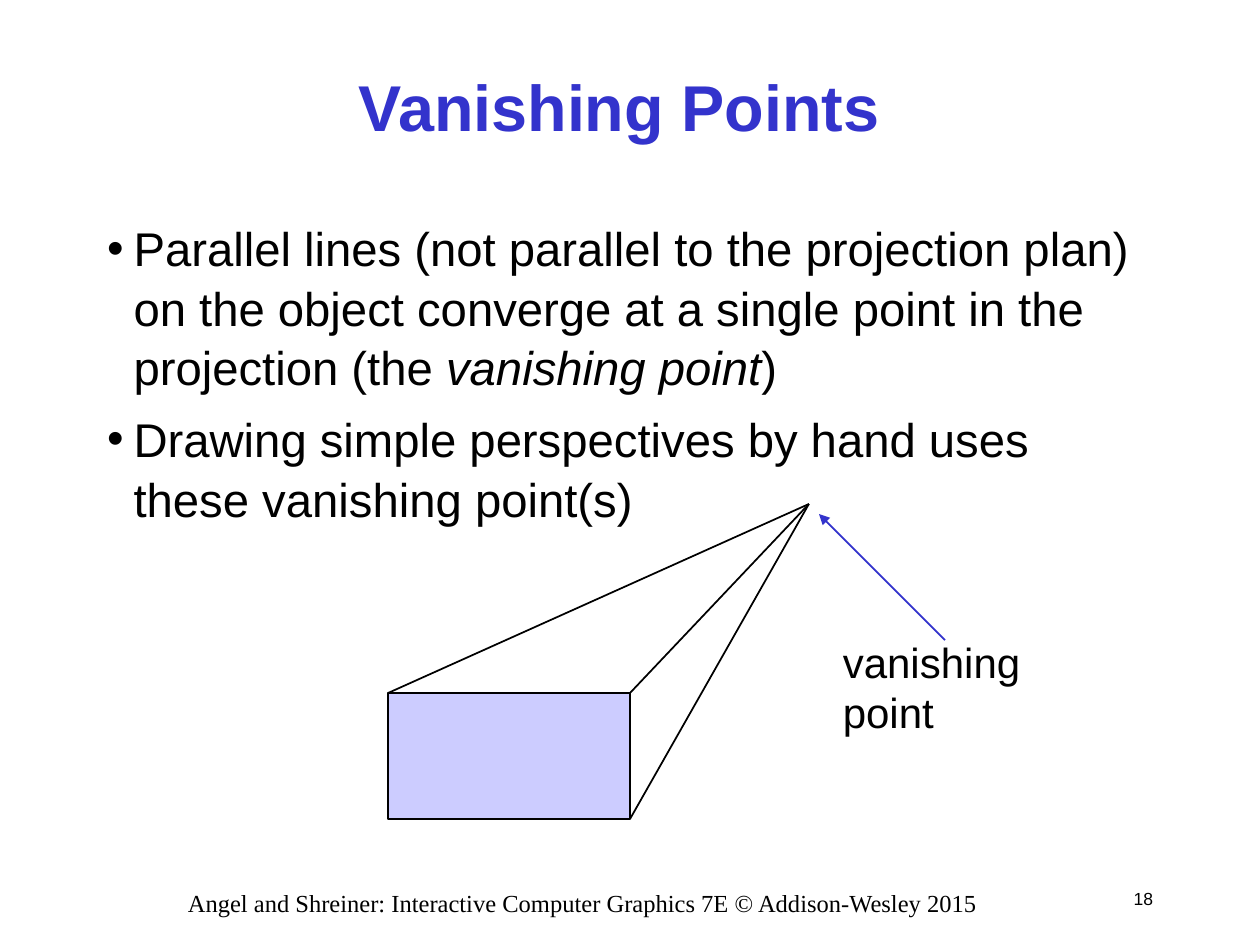
from pptx import Presentation
from pptx.dml.color import RGBColor
from pptx.enum.shapes import MSO_CONNECTOR, MSO_SHAPE
from pptx.enum.text import MSO_ANCHOR, MSO_AUTO_SIZE, PP_ALIGN
from pptx.oxml.ns import qn
from pptx.util import Inches, Pt
from lxml import etree

STRAIGHT = MSO_CONNECTOR.STRAIGHT
RECTANGLE = MSO_SHAPE.RECTANGLE
TOP, MIDDLE = MSO_ANCHOR.TOP, MSO_ANCHOR.MIDDLE
LEFT, CENTER, RIGHT = PP_ALIGN.LEFT, PP_ALIGN.CENTER, PP_ALIGN.RIGHT
NO_AUTOFIT = MSO_AUTO_SIZE.NONE

COLORS = {"text": "000000", "accent": "3333CC", "face": "CCCCFF"}


def write(paragraph, text, size, font="Arial", color="text", align=LEFT, bold=False, italic=False):
    paragraph.alignment = align
    run = paragraph.add_run()
    run.text = text
    run.font.size = Pt(size)
    run.font.name = font
    run.font.bold = bold
    run.font.italic = italic
    run.font.color.rgb = RGBColor.from_string(COLORS[color])


def draw_line(start, end, color="text"):
    line = slide.shapes.add_connector(STRAIGHT, *(Inches(value) for value in (*start, *end)))
    line.line.color.rgb = RGBColor.from_string(COLORS[color])
    line.line.width = Pt(1)
    etree.SubElement(line._element.spPr, qn("a:effectLst"))
    return line


presentation = Presentation()
presentation.slide_width = Inches(10)
presentation.slide_height = Inches(7.5)
slide = presentation.slides.add_slide(presentation.slide_layouts[1])

title, body = slide.placeholders
title.left, title.top, title.width, title.height = (Inches(v) for v in (1.5, 0.25, 6.83, 1.17))
title.text_frame.vertical_anchor = MIDDLE
title.text_frame.auto_size = NO_AUTOFIT
write(title.text_frame.paragraphs[0], "Vanishing Points", size=37, color="accent", align=CENTER, bold=True)

body.left, body.top, body.width, body.height = (Inches(v) for v in (0.75, 1.67, 8.5, 5.17))
body.text_frame.vertical_anchor = TOP
body.text_frame.auto_size = NO_AUTOFIT
bullets = [
    [
        ("Parallel lines (not parallel to the projection plan) on the object converge "
         "at a single point in the projection (the ", False),
        ("vanishing point", True),
        (")", False),
    ],
    [("Drawing simple perspectives by hand uses these vanishing point(s)", False)],
]
for index, runs in enumerate(bullets):
    paragraph = body.text_frame.add_paragraph() if index else body.text_frame.paragraphs[0]
    properties = paragraph._p.get_or_add_pPr()
    properties.set("marL", str(Inches(0.21)))
    properties.set("indent", str(-Inches(0.21)))
    etree.SubElement(properties, qn("a:buChar")).set("char", "•")
    paragraph.space_before = Pt(6.8 if index else 0)
    paragraph.line_spacing = 1.05
    for text, italic in runs:
        write(paragraph, text, size=27, italic=italic)

box_left, box_top, box_right, box_bottom = 3.08, 5.5, 5, 6.5
vanishing_point = (6.42, 4)
front_face = slide.shapes.add_shape(
    RECTANGLE, Inches(box_left), Inches(box_top),
    Inches(box_right - box_left), Inches(box_bottom - box_top))
front_face.shadow.inherit = False
front_face.fill.solid()
front_face.fill.fore_color.rgb = RGBColor.from_string(COLORS["face"])
front_face.line.color.rgb = RGBColor.from_string(COLORS["text"])
front_face.line.width = Pt(0.75)

for corner in [(box_right, box_bottom), (box_right, box_top), (box_left, box_top)]:
    draw_line(corner, vanishing_point)

pointer = draw_line((7.5, 5.08), (6.5, 4.08), color="accent")
etree.SubElement(pointer.line._get_or_add_ln(), qn("a:tailEnd")).set("type", "triangle")

text_boxes = [
    ("vanishing point", (6.59, 5, 2.42, 0.5), False, TOP, {"size": 24}),
    ("Angel and Shreiner: Interactive Computer Graphics 7E © Addison-Wesley 2015", (1, 7, 7.25, 0.25),
     True, TOP, {"size": 14, "font": "Times New Roman", "align": CENTER}),
    ("18", (8.83, 6.92, 0.42, 0.42), False, MIDDLE, {"size": 10, "align": RIGHT}),
]
for text, position, wrap, anchor, text_format in text_boxes:
    text_box = slide.shapes.add_textbox(*(Inches(value) for value in position))
    text_box.text_frame.word_wrap = wrap
    text_box.text_frame.vertical_anchor = anchor
    write(text_box.text_frame.paragraphs[0], text, **text_format)

presentation.save("out.pptx")
